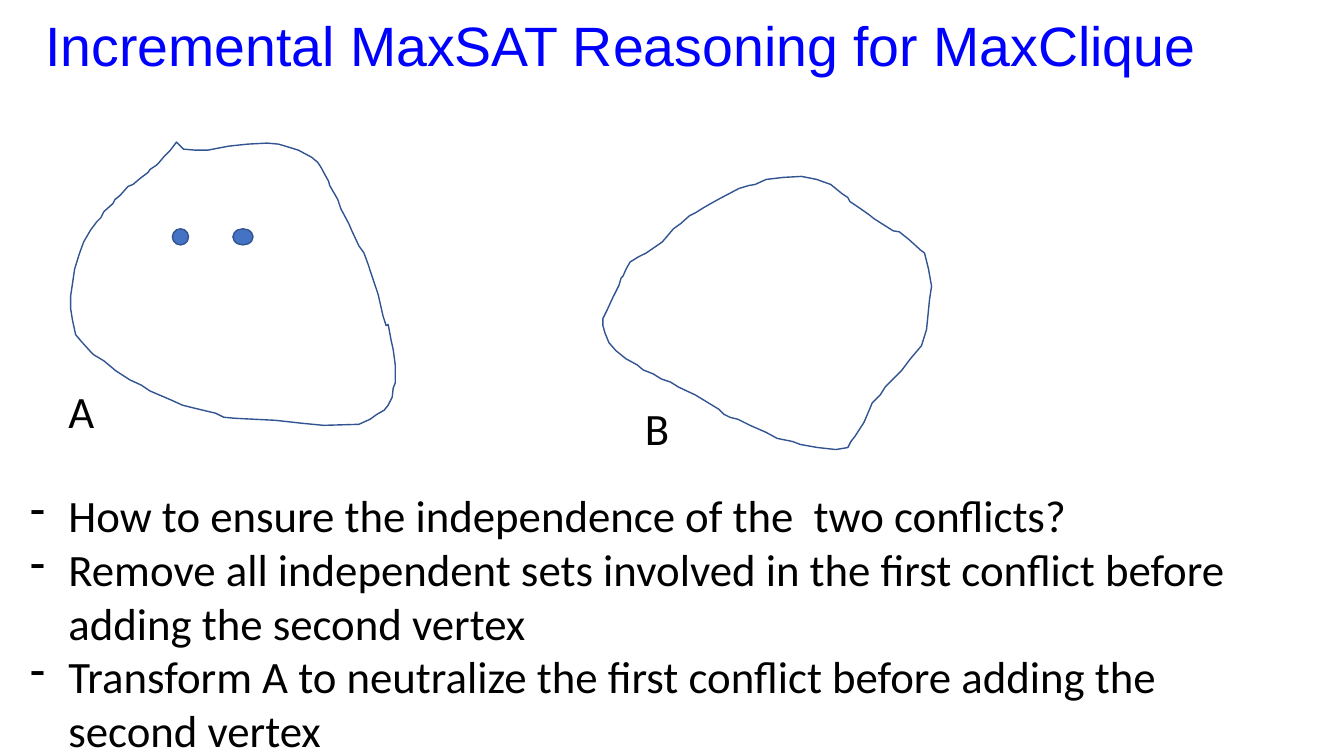
from lxml import etree
from pptx import Presentation
from pptx.dml.color import RGBColor
from pptx.enum.shapes import MSO_SHAPE
from pptx.enum.text import MSO_ANCHOR, MSO_AUTO_SIZE
from pptx.oxml.ns import qn
from pptx.util import Inches, Pt

OVAL = MSO_SHAPE.OVAL
MIDDLE = MSO_ANCHOR.MIDDLE
TOP = MSO_ANCHOR.TOP
GROW = MSO_AUTO_SIZE.SHAPE_TO_FIT_TEXT
FIXED = MSO_AUTO_SIZE.NONE

TITLE_BLUE = RGBColor(0x00, 0x00, 0xFF)
BLACK = RGBColor(0x00, 0x00, 0x00)
VERTEX_BLUE = RGBColor(0x44, 0x72, 0xC4)
OUTLINE_BLUE = RGBColor(0x32, 0x54, 0x91)

TITLE_FORMAT = {"name": "Arial", "size": Pt(39.6)}
BODY_FORMAT = {"name": "Calibri", "size": Pt(32)}
HANGING_INDENT = Inches(0.38)

presentation = Presentation()
presentation.slide_width = Inches(13.33)
presentation.slide_height = Inches(7.5)
slide = presentation.slides.add_slide(presentation.slide_layouts[6])
COLUMN = presentation.slide_width / 100
ROW = presentation.slide_height / 100


def grid_box(left, top, width, height):
    return [int(left * COLUMN), int(top * ROW), int(width * COLUMN), int(height * ROW)]


def add_text(box, lines, font_format, color, anchor=TOP, auto_size=GROW, spacing=1.0, bullet=None):
    frame = slide.shapes.add_textbox(*grid_box(*box)).text_frame
    frame.word_wrap = True
    frame.vertical_anchor = anchor
    frame.auto_size = auto_size
    for index, line in enumerate(lines):
        paragraph = frame.paragraphs[0] if index == 0 else frame.add_paragraph()
        paragraph.line_spacing = spacing
        if bullet:
            properties = paragraph._p.get_or_add_pPr()
            properties.set("marL", str(HANGING_INDENT))
            properties.set("indent", str(-HANGING_INDENT))
            etree.SubElement(properties, qn("a:buFontTx"))
            etree.SubElement(properties, qn("a:buChar")).set("char", bullet)
        run = paragraph.add_run()
        run.text = line
        for attribute, value in font_format.items():
            setattr(run.font, attribute, value)
        run.font.color.rgb = color


add_text((2.63, -0.13, 93.55, 13.2), ["Incremental MaxSAT Reasoning for MaxClique"],
         TITLE_FORMAT, TITLE_BLUE, MIDDLE, FIXED, 0.9)

REGION_A = [
    (175, 141), (169, 149), (163, 155), (158, 161), (155, 164), (149, 168), (147, 171),
    (139, 177), (132, 183), (127, 185), (119, 194), (114, 198), (112, 202), (103, 210),
    (100, 216), (96, 220), (90, 228), (83, 240), (79, 251), (74, 267), (72, 281),
    (70, 294), (70.5, 306), (72, 318), (75, 332), (80, 338), (89, 348), (93, 352),
    (103, 358), (115, 368), (129, 377), (140, 382), (149, 388), (170, 397), (181, 402),
    (193, 405), (214, 410), (222, 414), (233, 415), (273, 417), (300, 420), (321, 422),
    (356, 421), (367, 416), (374, 411), (381, 407), (385, 402), (389, 394), (390, 385),
    (392, 380), (391.5, 362), (390.5, 347), (388, 338), (385, 322), (383, 323), (380, 314),
    (375, 292), (369, 274), (365, 262), (361, 251), (356, 244), (349, 229), (346, 222),
    (338, 207), (335, 198), (331, 191), (327, 184), (326, 180), (321, 171), (319, 167),
    (315, 161), (309, 156), (296, 149), (283, 145), (276, 143), (265, 142), (246, 143),
    (227, 145), (206, 149), (194, 149), (182, 148), (179, 145),
]
REGION_B = [
    (824, 183), (810, 178), (795, 175), (777, 176), (760, 178), (749, 183), (743, 184),
    (733, 187), (714, 197), (705, 202), (698, 206), (690, 211), (684, 214), (675, 222),
    (668, 227), (657, 240), (641, 251), (633, 255), (625, 260), (621, 267), (618, 274),
    (616, 276), (614, 283), (608, 295), (602, 308), (598, 316), (598.5, 323), (600, 330),
    (604, 340), (611, 348), (621, 356), (632, 362), (638, 367), (648, 371), (656, 376),
    (665, 379), (673, 384), (690, 392), (713, 406), (718, 411), (724, 414), (732, 416),
    (744, 422), (760, 429), (771, 435), (786, 438), (794, 441), (811, 444), (829, 446),
    (841, 444), (844, 438), (848, 433), (857, 419), (863, 405), (865, 400), (873, 392),
    (878, 384), (894, 368), (903, 356), (914, 343), (919, 327), (922, 297), (924, 284),
    (921, 267), (917, 251), (913, 248), (902, 238), (892, 230), (886, 229), (878, 224),
    (867, 217), (862, 213), (852, 206), (843, 200), (841, 196), (835, 192),
]
for region in (REGION_A, REGION_B):
    builder = slide.shapes.build_freeform(*region[0], scale=Inches(0.01))
    builder.add_line_segments(region[1:], close=True)
    outline = builder.convert_to_shape()
    outline.shadow.inherit = False
    outline.fill.background()
    outline.line.color.rgb = OUTLINE_BLUE
    outline.line.width = Pt(1)

for left, width in ((17.33, 1.5), (12.83, 1.2)):
    vertex = slide.shapes.add_shape(OVAL, *grid_box(left, 30.27, width, 2.13))
    vertex.shadow.inherit = False
    vertex.fill.solid()
    vertex.fill.fore_color.rgb = VERTEX_BLUE
    vertex.line.color.rgb = OUTLINE_BLUE
    vertex.line.width = Pt(1)

for label, left, top in (("A", 4.35, 50.13), ("B", 47.25, 52.4)):
    add_text((left, top, 6.68, 8.53), [label], BODY_FORMAT, BLACK)

add_text((1.5, 63.87, 94.75, 37.2), [
    "How to ensure the independence of the  two conflicts?",
    "Remove all independent sets involved in the first conflict before adding the second vertex",
    "Transform A to neutralize the first conflict before adding the second vertex",
], BODY_FORMAT, BLACK, bullet="-")

presentation.save("out.pptx")
